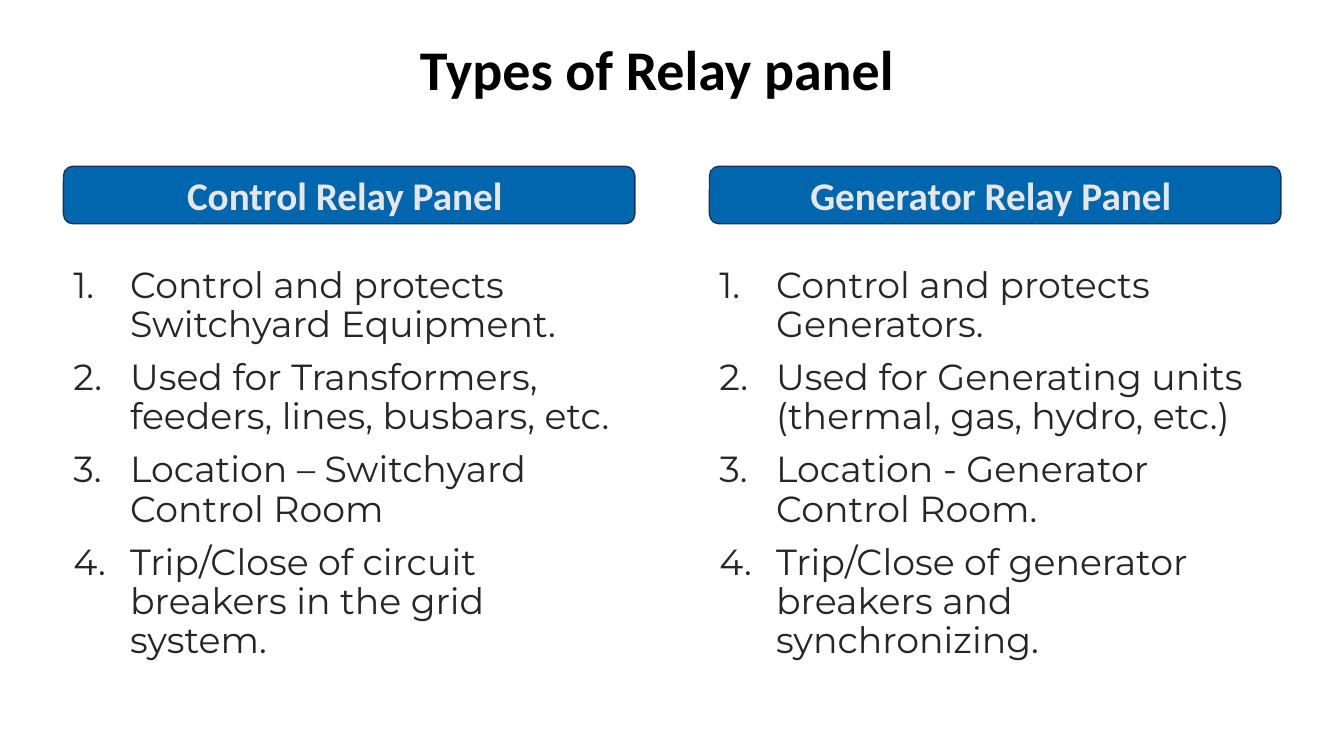
from lxml.etree import SubElement
from pptx import Presentation
from pptx.dml.color import RGBColor
from pptx.enum.shapes import MSO_SHAPE
from pptx.enum.text import MSO_ANCHOR, PP_ALIGN
from pptx.oxml.ns import qn
from pptx.util import Cm, Pt

COLORS = {
    "title": "000000",
    "banner": "0067AF",
    "banner_line": "1E3256",
    "banner_text": "E7E6E6",
    "body": "262626",
}

COLUMN_TOP = 4.19
COLUMN_WIDTH = 14.4
BANNER_HEIGHT = 1.45
LIST_OFFSET = 2.41
LIST_HEIGHT = 12.01
NUMBER_INDENT = 1.43

# Left edge, list width, heading and points of each column
PANELS = [
    (1.6, 14.12, "Control Relay Panel ", [
        "Control and protects Switchyard Equipment.",
        "Used for Transformers, feeders, lines, busbars, etc.",
        "Location – Switchyard Control Room",
        "Trip/Close of circuit breakers in the grid system.",
    ]),
    (17.88, COLUMN_WIDTH, "Generator Relay Panel ", [
        "Control and protects Generators.",
        "Used for Generating units (thermal, gas, hydro, etc.)",
        "Location - Generator Control Room.",
        "Trip/Close of generator breakers and synchronizing.",
    ]),
]


def set_font(paragraph, name, size, color, bold=False):
    paragraph.font.name = name
    paragraph.font.size = Pt(size)
    paragraph.font.bold = bold
    paragraph.font.color.rgb = RGBColor.from_string(COLORS[color])


def number_paragraph(paragraph):
    """Give the paragraph an automatic number with a hanging indent."""
    properties = paragraph._p.get_or_add_pPr()
    properties.set("marL", str(Cm(NUMBER_INDENT)))
    properties.set("indent", str(-Cm(NUMBER_INDENT)))
    SubElement(properties, qn("a:buFont"), typeface="+mj-lt")
    SubElement(properties, qn("a:buAutoNum"), type="arabicPeriod")


def add_title(slide, left, top, width, height):
    title = slide.shapes.title
    title.left, title.top = Cm(left), Cm(top)
    title.width, title.height = Cm(width), Cm(height)
    title.text_frame.text = "Types of Relay panel "
    title.text_frame.vertical_anchor = MSO_ANCHOR.MIDDLE
    heading = title.text_frame.paragraphs[0]
    heading.alignment = PP_ALIGN.CENTER
    heading.line_spacing = 0.9
    set_font(heading, "Calibri", 40, "title", bold=True)


def add_banner(slide, left, top, width, height, text):
    banner = slide.shapes.add_shape(
        MSO_SHAPE.ROUNDED_RECTANGLE, Cm(left), Cm(top), Cm(width), Cm(height))
    banner.shadow.inherit = False
    banner.fill.solid()
    banner.fill.fore_color.rgb = RGBColor.from_string(COLORS["banner"])
    banner.line.color.rgb = RGBColor.from_string(COLORS["banner_line"])
    banner.line.width = Pt(1)
    banner.text_frame.text = text
    banner.text_frame.vertical_anchor = MSO_ANCHOR.MIDDLE
    heading = banner.text_frame.paragraphs[0]
    heading.alignment = PP_ALIGN.CENTER
    set_font(heading, "Calibri", 28, "banner_text", bold=True)


def add_numbered_list(slide, left, top, width, height, points):
    box = slide.shapes.add_textbox(Cm(left), Cm(top), Cm(width), Cm(height))
    frame = box.text_frame
    frame.word_wrap = True
    frame.text = "\n".join(points)
    for point in frame.paragraphs:
        point.line_spacing = 0.9
        point.space_before = Pt(10)
        set_font(point, "Montserrat", 25.9, "body")
        number_paragraph(point)


def add_panel_column(slide, left, top, list_width, heading, points):
    add_banner(slide, left, top, COLUMN_WIDTH, BANNER_HEIGHT, heading)
    add_numbered_list(
        slide, left, top + LIST_OFFSET, list_width, LIST_HEIGHT, points)


def main():
    deck = Presentation()
    deck.slide_width, deck.slide_height = Cm(33.87), Cm(19.05)
    slide = deck.slides.add_slide(deck.slide_layouts[5])
    add_title(slide, 2.11, 0.43, 29.21, 2.79)
    for left, list_width, heading, points in PANELS:
        add_panel_column(slide, left, COLUMN_TOP, list_width, heading, points)
    deck.save("out.pptx")


if __name__ == "__main__":
    main()
